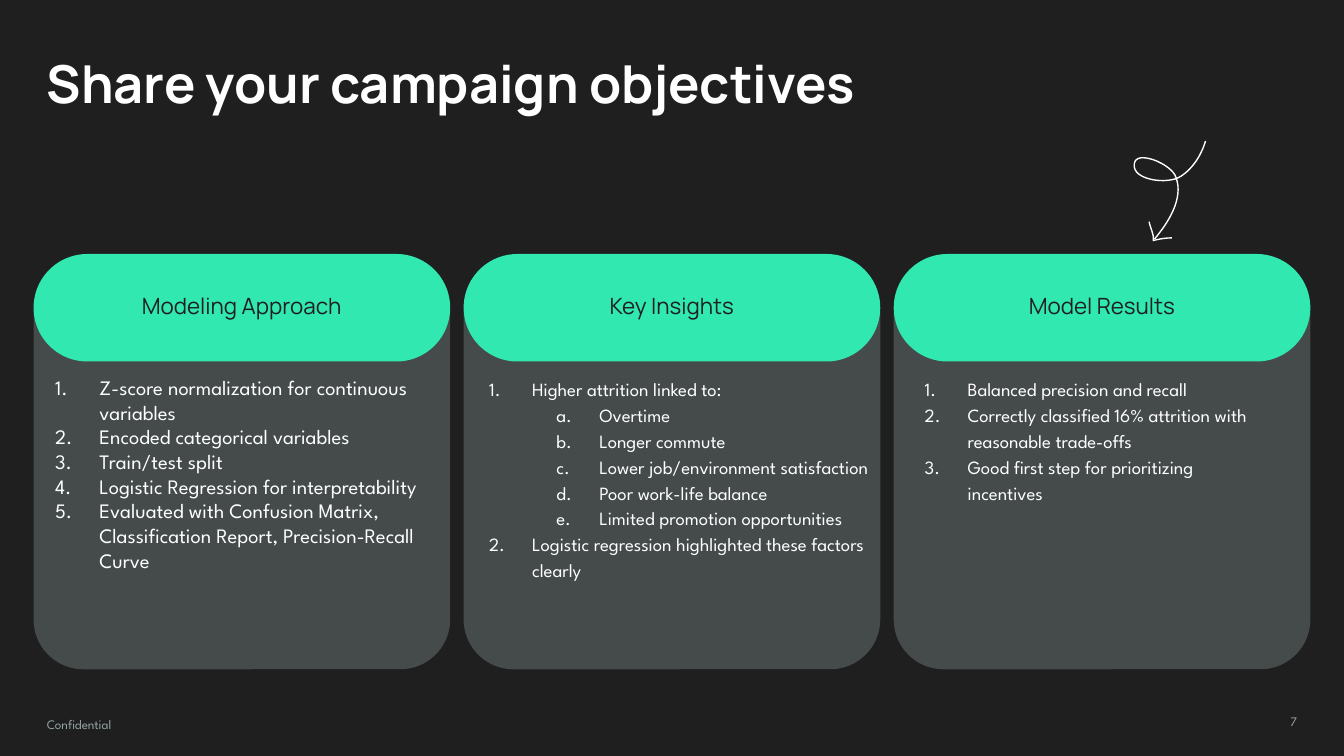
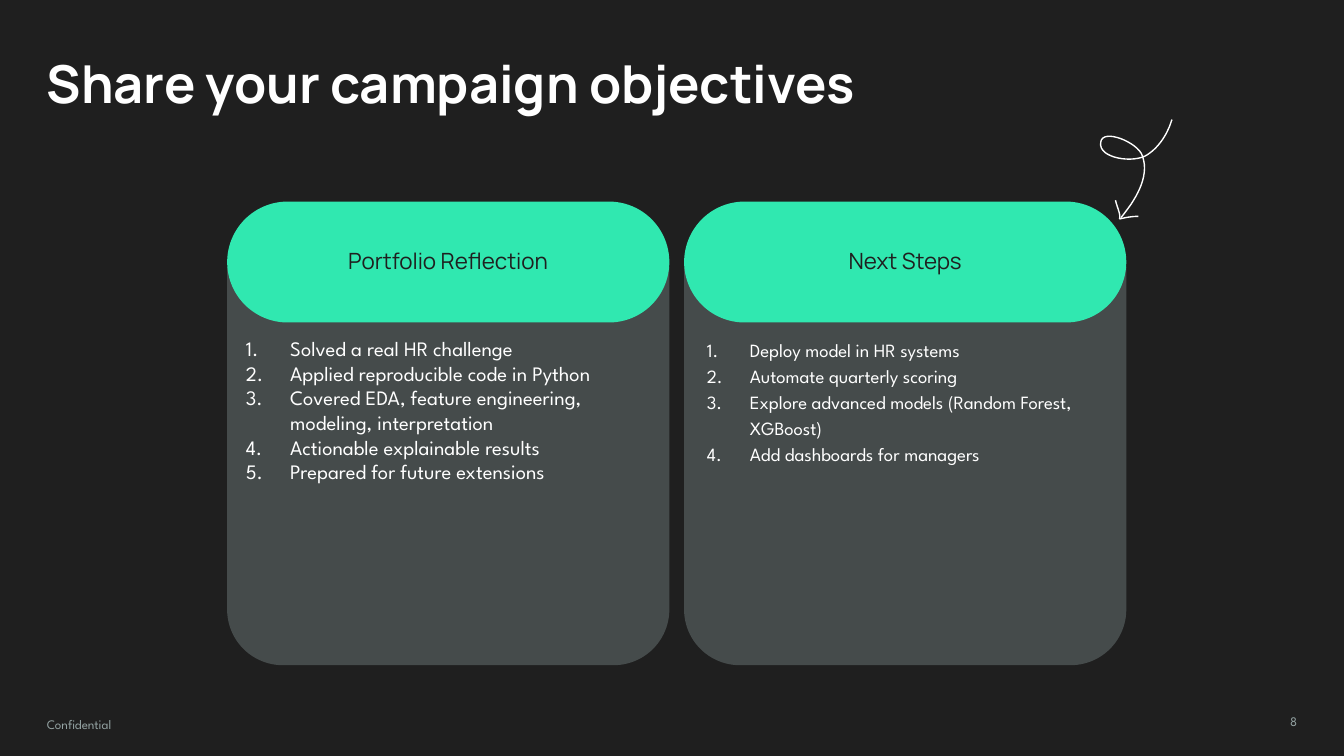
from dataclasses import dataclass

import lxml.etree
import pptx
import pptx.dml.color
import pptx.enum.shapes
import pptx.enum.text
import pptx.oxml.ns
import pptx.slide
import pptx.text.text
import pptx.util

ALIGN = pptx.enum.text.PP_ALIGN
ANCHOR = pptx.enum.text.MSO_ANCHOR
SHAPE = pptx.enum.shapes.MSO_SHAPE
WIDE, HIGH = pptx.util.Inches(10), pptx.util.Inches(5.625)
COLS = 100  # square grid cells across the slide


@dataclass(frozen=True)
class Theme:
    dark: str = "1F1F1F"
    panel: str = "454B4B"
    mint: str = "30E8B0"
    white: str = "FFFFFF"
    grey: str = "93A2A2"
    head_font: str = "Manrope"
    text_font: str = "League Spartan"
    title: int = 28
    head: int = 12
    large: int = 11
    list: int = 10
    small: int = 7
    line: float = 0.75
    round: float = 0.14


THEME = Theme()


@dataclass(frozen=True)
class Box:
    """A place on the slide, in grid cells."""
    left: float
    top: float
    wide: float
    high: float

    def place(self) -> tuple[int, ...]:
        return tuple(grid(n) for n in (self.left, self.top, self.wide, self.high))


@dataclass(frozen=True)
class Item:
    text: str
    level: int = 0


@dataclass(frozen=True)
class Card:
    """A headed list; shift and span set its text box against the panel."""
    head: str
    items: tuple[Item, ...]
    shift: float
    span: float
    size: int = THEME.list
    pace: float = 1.15


@dataclass(frozen=True)
class Page:
    """One slide; pill is the first card's head, the rest step to the right."""
    number: int
    pill: Box
    step: float
    base: float
    drop: float
    arrow: tuple[float, float]
    cards: tuple[Card, ...]


TITLE = Box(2.5, 2.8, 62.4, 11.4)
NOTE = Box(2.5, 52.5, 12.2, 3.4)
NUMBER = Box(73.5, 52.5, 24, 3.2)

# Each stroke is a start point and then cubic curves of three points each.
STROKES = (
    ((8.4, 0), (8.1, 1), (7.5, 2), (6.6, 2.6), (5.6, 3.3), (2.9, 2.9), (3.1, 1.7),
     (3.2, 0.6), (5.9, 1.7), (6.2, 2.7), (6.8, 4.3), (5.6, 6.1), (4.6, 7.3)),
    ((4.2, 6), (4.3, 6.5), (4.6, 7), (4.5, 7.4)),
    ((4.5, 7.4), (4.9, 7.3), (5.4, 7.2), (5.9, 7.2)),
)

PAGES = (
    Page(7, Box(2.5, 18.9, 31, 8), 32, 49.8, 4.4, (81.3, 10.5), (
        Card("Modeling Approach", (
            Item("Z-score normalization for continuous variables"),
            Item("Encoded categorical variables"),
            Item("Train/test split"),
            Item("Logistic Regression for interpretability"),
            Item("Evaluated with Confusion Matrix, Classification Report, "
                 "Precision-Recall Curve"),
        ), -3.1, 36.4, THEME.large, 1.0),
        Card("Key Insights", (
            Item("Higher attrition linked to:"),
            Item("Overtime", 1),
            Item("Longer commute", 1),
            Item("Lower job/environment satisfaction", 1),
            Item("Poor work-life balance", 1),
            Item("Limited promotion opportunities", 1),
            Item("Logistic regression highlighted these factors clearly"),
        ), -2.9, 36.4),
        Card("Model Results", (
            Item("Balanced precision and recall"),
            Item("Correctly classified 16% attrition with reasonable trade-offs"),
            Item("Good first step for prioritizing incentives"),
        ), -2.5, 33.5),
    )),
    Page(8, Box(16.9, 15, 32.9, 9), 34, 49.5, 4.9, (78.8, 8.9), (
        Card("Portfolio Reflection", (
            Item("Solved a real HR challenge"),
            Item("Applied reproducible code in Python"),
            Item("Covered EDA, feature engineering, modeling, interpretation"),
            Item("Actionable explainable results"),
            Item("Prepared for future extensions"),
        ), -3.3, 38.6, THEME.large, 1.0),
        Card("Next Steps", (
            Item("Deploy model in HR systems"),
            Item("Automate quarterly scoring"),
            Item("Explore advanced models (Random Forest, XGBoost)"),
            Item("Add dashboards for managers"),
        ), -3.1, 38.6),
    )),
)


def grid(cells: float) -> int:
    return round(WIDE * cells / COLS)


def paint(code: str) -> pptx.dml.color.RGBColor:
    return pptx.dml.color.RGBColor.from_string(code)


def write(frame: pptx.text.text.TextFrame, items: tuple[Item, ...], *,
          size: int, color: str, font: str = THEME.text_font, bold: bool = False,
          align: ALIGN = ALIGN.LEFT, anchor: ANCHOR = ANCHOR.TOP,
          pace: float = 1.0, inset: tuple[float, float] = (1, 1),
          listed: bool = False) -> None:
    """Fill a frame, one paragraph an item; inset is side and top in cells."""
    frame.word_wrap = True
    frame.vertical_anchor = anchor
    frame.margin_left = frame.margin_right = grid(inset[0])
    frame.margin_top = frame.margin_bottom = grid(inset[1])
    for index, item in enumerate(items):
        para = frame.add_paragraph() if index else frame.paragraphs[0]
        para.alignment = align
        para.line_spacing = pace
        if listed:
            count(para, item.level, size, color)
        run = para.add_run()
        run.text = item.text
        run.font.size = pptx.util.Pt(size)
        run.font.name = font
        run.font.bold = bold
        run.font.color.rgb = paint(color)


def count(para: pptx.text.text._Paragraph, level: int, size: int, color: str) -> None:
    """Number a paragraph with a hanging indent."""
    para.level = level
    props = para._p.get_or_add_pPr()
    props.set("marL", str(grid(5 * (level + 1))))
    props.set("indent", str(-grid(3.3 if size == THEME.large else 3.2)))
    name = pptx.oxml.ns.qn
    tint = lxml.etree.SubElement(props, name("a:buClr"))
    lxml.etree.SubElement(tint, name("a:srgbClr")).set("val", color)
    lxml.etree.SubElement(props, name("a:buFont")).set("typeface", THEME.text_font)
    kind = "alphaLcPeriod" if level else "arabicPeriod"
    lxml.etree.SubElement(props, name("a:buAutoNum")).set("type", kind)


def label(slide: pptx.slide.Slide, box: Box, items: tuple[Item, ...], **form) -> None:
    write(slide.shapes.add_textbox(*box.place()).text_frame, items, **form)


def block(slide: pptx.slide.Slide, kind: SHAPE, box: Box, color: str,
          *bends: float) -> pptx.text.text.TextFrame:
    """Draw a filled shape and return its text frame."""
    shape = slide.shapes.add_shape(kind, *box.place())
    for index, bend in enumerate(bends):
        shape.adjustments[index] = bend
    shape.shadow.inherit = False
    shape.fill.solid()
    shape.fill.fore_color.rgb = paint(color)
    shape.line.fill.background()
    return shape.text_frame


def curve(points: tuple, steps: int = 16) -> list[tuple[float, float]]:
    """Sample a chain of cubic curves."""
    trail = [points[0]]
    for start in range(0, len(points) - 1, 3):
        knots = points[start:start + 4]
        for step in range(1, steps + 1):
            t = step / steps
            parts = ((1 - t) ** 3, 3 * t * (1 - t) ** 2, 3 * t * t * (1 - t), t ** 3)
            trail.append(tuple(sum(p * knot[axis] for p, knot in zip(parts, knots))
                               for axis in (0, 1)))
    return trail


def arrow(slide: pptx.slide.Slide, left: float, top: float) -> None:
    group = slide.shapes.add_group_shape()
    for stroke in STROKES:
        trail = [(grid(left + x), grid(top + y)) for x, y in curve(stroke)]
        pen = group.shapes.build_freeform(*trail[0])
        pen.add_line_segments(trail[1:], close=False)
        shape = pen.convert_to_shape()
        shape.shadow.inherit = False
        shape.fill.background()
        shape.line.color.rgb = paint(THEME.white)
        shape.line.width = pptx.util.Pt(THEME.line)


def draw_card(slide: pptx.slide.Slide, page: Page, index: int, card: Card) -> None:
    first = page.pill
    left = first.left + index * page.step
    top = first.top + page.drop
    floor = first.top + first.high
    block(slide, SHAPE.ROUND_2_SAME_RECTANGLE,
          Box(left, top, first.wide, page.base - top), THEME.panel, 0, THEME.round)
    head = block(slide, SHAPE.ROUNDED_RECTANGLE,
                 Box(left, first.top, first.wide, first.high), THEME.mint, 0.5)
    write(head, (Item(card.head),), size=THEME.head, color=THEME.dark,
          font=THEME.head_font, align=ALIGN.CENTER, anchor=ANCHOR.MIDDLE,
          pace=0.9, inset=(3, 0))
    label(slide, Box(left + card.shift, floor, card.span, page.base - floor),
          card.items, size=card.size, color=THEME.white, pace=card.pace,
          inset=(3, 1), listed=True)


def draw_page(deck, page: Page) -> None:
    slide = deck.slides.add_slide(deck.slide_layouts[6])
    slide.background.fill.solid()
    slide.background.fill.fore_color.rgb = paint(THEME.dark)
    label(slide, NUMBER, (Item(str(page.number)),), size=THEME.small,
          color=THEME.grey, align=ALIGN.RIGHT)
    for index, card in enumerate(page.cards):
        draw_card(slide, page, index, card)
    label(slide, TITLE, (Item("Share your campaign objectives"),), size=THEME.title,
          color=THEME.white, font=THEME.head_font, bold=True)
    arrow(slide, *page.arrow)
    label(slide, NOTE, (Item("Confidential"),), size=THEME.small,
          color=THEME.grey, pace=1.15)


def main() -> None:
    deck = pptx.Presentation()
    deck.slide_width, deck.slide_height = WIDE, HIGH
    for page in PAGES:
        draw_page(deck, page)
    deck.save("out.pptx")


if __name__ == "__main__":
    main()
